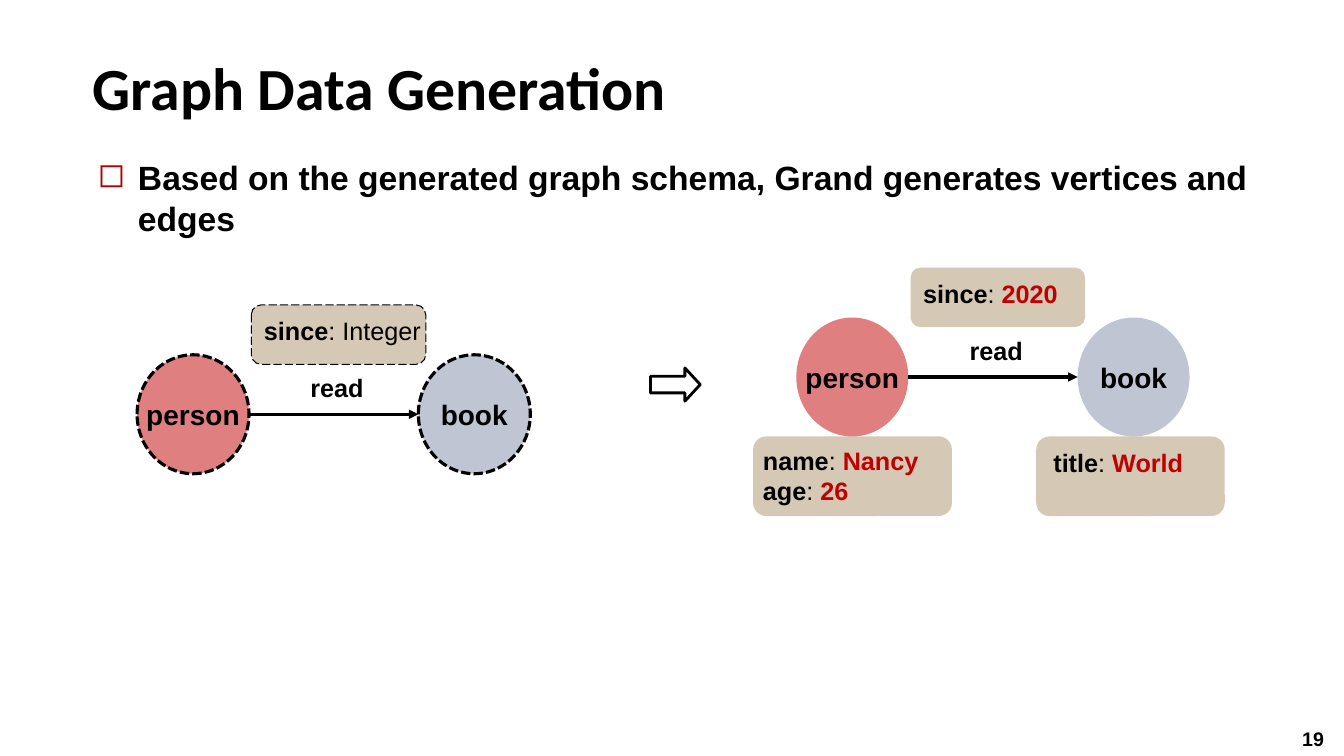
"""Build the slide on graph data generation, with lengths in percent of the slide."""

import dataclasses
import typing

import lxml.etree
import pptx
import pptx.dml.color
import pptx.enum.dml
import pptx.enum.shapes
import pptx.enum.text
import pptx.oxml.ns
import pptx.util

Shape = pptx.enum.shapes.MSO_SHAPE
Dash = pptx.enum.dml.MSO_LINE
Align = pptx.enum.text.PP_ALIGN
Anchor = pptx.enum.text.MSO_ANCHOR
Span = tuple[str, bool, str]

BLACK, WHITE, RED, BLUE, TAN = "000000", "FFFFFF", "C00000", "808DA9", "AC956E"

deck = pptx.Presentation()
deck.slide_width = pptx.util.Inches(13.33)
deck.slide_height = pptx.util.Inches(7.5)
page = deck.slides.add_slide(deck.slide_layouts[5])


@dataclasses.dataclass(frozen=True)
class Area:
    """A rectangle in percent of the slide's width and height."""

    left: float
    top: float
    width: float
    height: float

    def lengths(self) -> list[int]:
        """Return left, top, width and height in slide units."""
        return [across(self.left), down(self.top), across(self.width), down(self.height)]


@dataclasses.dataclass(frozen=True)
class Graph:
    """Two vertices joined by a labelled edge that has one property."""

    left: float
    top: float
    value: Span
    dashed: bool


@dataclasses.dataclass(frozen=True)
class PropertyCard:
    """A rounded card with the text area that lies on it."""

    card: Area
    text: Area
    lines: list[list[Span]]


def across(share: float) -> int:
    """Turn a percentage of the slide's width into a length."""
    return round(deck.slide_width * share / 100)


def down(share: float) -> int:
    """Turn a percentage of the slide's height into a length."""
    return round(deck.slide_height * share / 100)


def color(value: str) -> pptx.dml.color.RGBColor:
    """Return the colour of a hex string."""
    return pptx.dml.color.RGBColor.from_string(value)


def apply(target: typing.Any, values: dict[str, typing.Any]) -> None:
    """Set every attribute named in the format values."""
    for name, value in values.items():
        setattr(target, name, value)


def add_element(parent: typing.Any, tag: str, **attributes: str) -> typing.Any:
    """Append a drawing element and return it."""
    return lxml.etree.SubElement(parent, pptx.oxml.ns.qn(tag), attributes)


def write(box: typing.Any, lines: list[list[Span]], size: float,
          font: str = "Arial", align: typing.Any = Align.LEFT) -> None:
    """Fill a box with paragraphs of spans."""
    frame = box.text_frame
    for index, spans in enumerate(lines):
        para = frame.add_paragraph() if index else frame.paragraphs[0]
        para.alignment = align
        for text, bold, shade in spans:
            span = para.add_run()
            span.text = text
            apply(span.font, {"name": font, "size": pptx.util.Pt(size), "bold": bold})
            span.font.color.rgb = color(shade)


def add_text(area: Area, lines: list[list[Span]], size: float) -> typing.Any:
    """Add a wrapped text box."""
    box = page.shapes.add_textbox(*area.lengths())
    box.text_frame.word_wrap = True
    write(box, lines, size)
    return box


def add_figure(kind: typing.Any, area: Area, fill: str, line: float = 0,
               dash: typing.Any = None, alpha: int = 50) -> typing.Any:
    """Add a filled shape with an optional black outline."""
    figure = page.shapes.add_shape(kind, *area.lengths())
    figure.shadow.inherit = False
    figure.fill.solid()
    figure.fill.fore_color.rgb = color(fill)
    if alpha < 100:
        shade = figure.fill._xPr.find(".//" + pptx.oxml.ns.qn("a:srgbClr"))
        add_element(shade, "a:alpha", val=str(alpha * 1000))
    if line:
        figure.line.color.rgb = color(BLACK)
        apply(figure.line, {"width": pptx.util.Pt(line), "dash_style": dash})
    else:
        figure.line.fill.background()
    return figure


def add_vertex(area: Area, label: str, fill: str, dashed: bool) -> None:
    """Add a labelled circle."""
    vertex = add_figure(Shape.OVAL, area, fill, 2.25 if dashed else 0, Dash.SQUARE_DOT)
    apply(vertex.text_frame, {"word_wrap": False, "vertical_anchor": Anchor.MIDDLE})
    write(vertex, [[(label, True, BLACK)]], 20, align=Align.CENTER)


def add_edge(left: float, right: float, top: float) -> None:
    """Add a level arrow from left to right."""
    edge = page.shapes.add_connector(pptx.enum.shapes.MSO_CONNECTOR.STRAIGHT,
                                     across(left), down(top), across(right), down(top))
    edge.line.color.rgb = color(BLACK)
    edge.line.width = pptx.util.Pt(2.25)
    add_element(edge.line._get_or_add_ln(), "a:tailEnd", type="triangle")
    add_element(edge._element.spPr, "a:effectLst")


def add_graph(graph: Graph) -> None:
    """Draw both vertices, the edge, its label and its property."""
    left, top, width, height, step = graph.left, graph.top, 8.33, 15.73, 20.93
    add_vertex(Area(left, top, width, height), "person", RED, graph.dashed)
    add_vertex(Area(left + step, top, width, height), "book", BLUE, graph.dashed)
    add_edge(left + width, left + step, top + height / 2)
    add_text(Area(left + 12.15, top + 1.7, 6.3, 5.33), [[("read", True, BLACK)]], 18)
    add_figure(Shape.ROUNDED_RECTANGLE, Area(left + 8.5, top - 6.6, 12.98, 7.87), TAN,
               0.75 if graph.dashed else 0, Dash.LONG_DASH)
    spans = [("since", True, BLACK), (": ", False, BLACK), graph.value]
    add_text(Area(left + 8.7, top - 5.87, 14.4, 5.33), [spans], 18)


def add_heading() -> None:
    """Format the title and add the bulleted statement and the page number."""
    title = page.shapes.title
    apply(title, dict(zip(("left", "top", "width", "height"),
                          Area(6.15, 4.53, 93, 12.4).lengths())))
    apply(title.text_frame, {"vertical_anchor": Anchor.BOTTOM, "word_wrap": True,
                             "auto_size": pptx.enum.text.MSO_AUTO_SIZE.NONE})
    write(title, [[("Graph Data Generation", True, BLACK)]], 42.7, "Calibri")
    title.text_frame.paragraphs[0].line_spacing = pptx.util.Pt(46.7)

    statement = "Based on the generated graph schema, Grand generates vertices and edges"
    box = add_text(Area(6.53, 20.13, 87.4, 12.13), [[(statement, True, BLACK)]], 24)
    properties = box.text_frame.paragraphs[0]._p.get_or_add_pPr()
    indent = pptx.util.Inches(0.4)
    properties.set("marL", str(indent))
    properties.set("indent", str(-indent))
    add_element(add_element(properties, "a:buClr"), "a:srgbClr", val="AD0101")
    add_element(properties, "a:buChar", char="◻")
    add_text(Area(96.15, 95.47, 3.6, 4.53), [[("19", True, BLACK)]], 14)


def main() -> None:
    """Draw the slide and save it."""
    add_heading()
    arrow = add_figure(Shape.RIGHT_ARROW, Area(48.4, 48.67, 3.7, 4.4), WHITE, 2, alpha=100)
    arrow.adjustments[1] = 0.46
    cards = [
        PropertyCard(Area(56.03, 57.73, 14.8, 10.53), Area(56.03, 58.27, 13.8, 9.47),
                     [[("name", True, BLACK), (": ", False, BLACK), ("Nancy", True, RED)],
                      [("age", True, BLACK), (": ", False, BLACK), ("26", True, RED)]]),
        PropertyCard(Area(77.1, 57.73, 14.03, 10.53), Area(77.64, 58.53, 18.6, 5.33),
                     [[("title", True, BLACK), (": ", False, BLACK), ("World", True, RED)]]),
    ]
    for item in cards:
        add_figure(Shape.ROUNDED_RECTANGLE, item.card, TAN)
        add_text(item.text, item.lines, 18)
    add_graph(Graph(59.25, 42, ("2020", True, RED), False))
    add_graph(Graph(10.2, 46.93, ("Integer", False, BLACK), True))
    deck.save("out.pptx")


if __name__ == "__main__":
    main()
